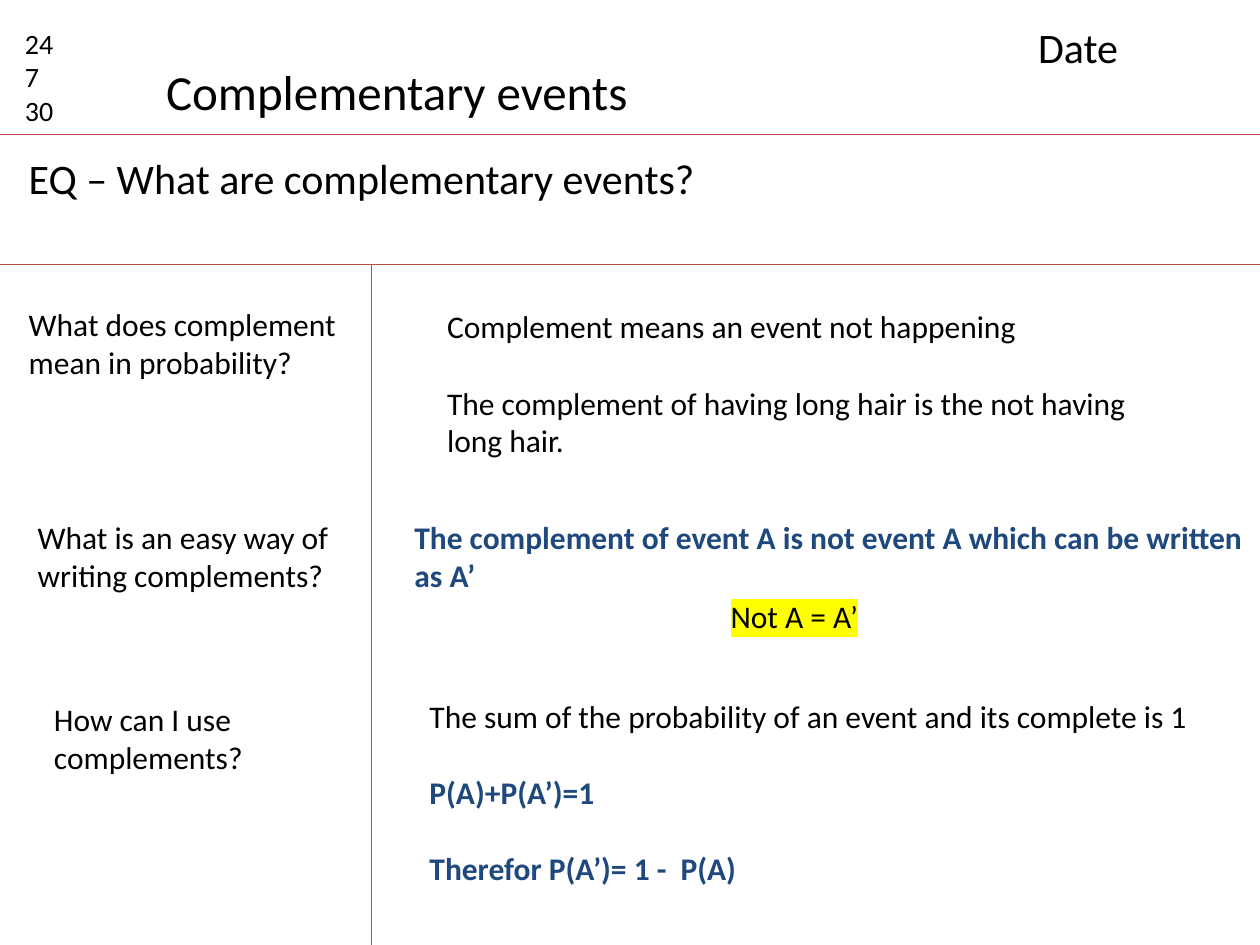
from lxml.etree import SubElement
from pptx import Presentation
from pptx.dml.color import RGBColor
from pptx.enum.shapes import MSO_CONNECTOR
from pptx.oxml.ns import qn
from pptx.util import Inches, Pt

COLS, ROWS = 100, 75
HEAD, BODY, SPLIT = 10.7, 21, 29.5
BLACK, BLUE, RED, YELLOW = "000000", "1F497D", "BF4C48", "FFFF00"
FONT, GAP = "Calibri", 22

RULES = [
    (0, HEAD, COLS, HEAD),
    (0, BODY, COLS, BODY),
    (SPLIT, BODY, SPLIT, ROWS),
]

# column, row, width, height, size, wrap, gap, lines
TEXTS = [
    (1, 1.6, 6.3, 9.1, 16, True, 0, [("24", BLACK), ("7", BLACK), ("30", BLACK)]),
    (12.2, 4.4, 39, 5.7, 28, False, 0, [("Complementary events", BLACK)]),
    (81.4, 1.2, 17.3, 5, 24, True, 0, [("Date", BLACK)]),
    (1.3, 11.6, 94.3, 5, 24, True, 0, [("EQ – What are complementary events?", BLACK)]),
    (1.3, 23.7, 29, 7.1, 18, True, 0, [("What does complement mean in probability?", BLACK)]),
    (34.5, 23.9, 60.5, 16.2, 18, True, GAP, [
        ("Complement means an event not happening", BLACK),
        ("The complement of having long hair is the not having long hair.", BLACK)]),
    (2, 40.6, 26.8, 7.1, 18, True, 0, [("What is an easy way of writing complements?", BLACK)]),
    (31.9, 40.6, 68.1, 7.1, 18, True, 0, [
        ("The complement of event A is not event A which can be written as A’", BLUE)]),
    (3.3, 55.1, 24.9, 7.1, 18, True, 0, [("How can I use complements?", BLACK)]),
    (33.1, 54.8, 62.9, 16.2, 18, False, GAP, [
        ("The sum of the probability of an event and its complete is 1", BLACK),
        ("P(A)+P(A’)=1", BLUE),
        ("Therefor P(A’)= 1 -  P(A)", BLUE)]),
]
NOTE = (57, 46.9, 12.3, 4, 18, False, 0, [("Not A = A’", BLACK)])

deck = Presentation()
deck.slide_width, deck.slide_height = Inches(10), Inches(7.5)
slide = deck.slides.add_slide(deck.slide_layouts[6])


def place(*cells):
    return [int(deck.slide_width * cell / COLS) for cell in cells]


def paint(code):
    return RGBColor.from_string(code)


def rule(ends):
    line = slide.shapes.add_connector(MSO_CONNECTOR.STRAIGHT, *place(*ends))
    line.line.color.rgb = paint(RED)
    line.line.width = Pt(0.75)
    SubElement(line._element.spPr, qn("a:effectLst"))


def write(left, top, width, height, size, wrap, gap, lines):
    frame = slide.shapes.add_textbox(*place(left, top, width, height)).text_frame
    frame.word_wrap = wrap
    for i, (text, color) in enumerate(lines):
        para = frame.add_paragraph() if i else frame.paragraphs[0]
        para.add_run().text = text
        if i and gap:
            para.space_before = Pt(gap)
        font = para.font
        font.name, font.size, font.bold = FONT, Pt(size), color == BLUE
        font.color.rgb = paint(color)
    return frame


def mark(frame, code):
    for run in frame.paragraphs[0].runs:
        tint = SubElement(run._r.get_or_add_rPr(), qn("a:highlight"))
        SubElement(tint, qn("a:srgbClr"), val=code)


for ends in RULES:
    rule(ends)
for text in TEXTS:
    write(*text)
mark(write(*NOTE), YELLOW)
deck.save("out.pptx")
